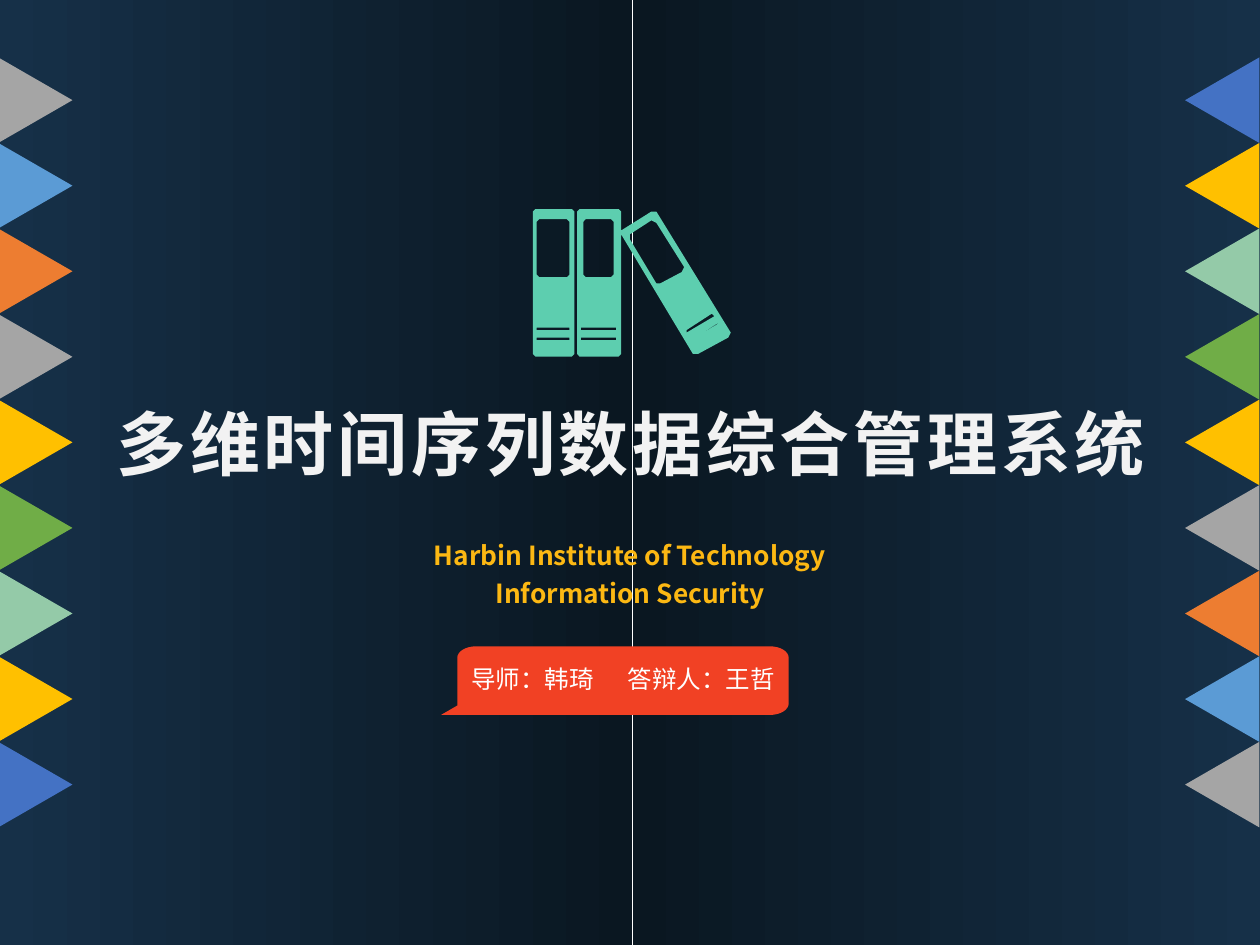
from dataclasses import dataclass
from math import cos, pi, sin

from lxml.etree import SubElement
from pptx import Presentation
from pptx.dml.color import RGBColor
from pptx.enum.shapes import MSO_SHAPE as Preset
from pptx.enum.text import MSO_ANCHOR as Anchor, MSO_AUTO_SIZE as AutoSize, PP_ALIGN as Align
from pptx.oxml.ns import qn
from pptx.util import Emu, Inches, Pt

CELL = Inches(0.1)
COLUMNS, ROWS = 100, 75

Contour = list[tuple[float, float]]


@dataclass(frozen=True)
class Theme:
    font: str = "Noto Sans CJK SC"
    edge: str = "163048"
    center: str = "0A1721"
    title: str = "F2F2F2"
    subtitle: str = "FCB813"
    label: str = "FFFFFF"
    callout: str = "F14124"
    binders: str = "5DCEAF"
    pennants: tuple[str, ...] = (
        "A5A5A5", "5B9BD5", "ED7D31", "A5A5A5", "FFC000",
        "70AD47", "94CAA8", "FFC000", "4472C4",
    )
    title_size: int = 40
    subtitle_size: int = 15
    label_size: int = 14


@dataclass(frozen=True)
class Area:
    column: float
    row: float
    width: float
    height: float

    def lengths(self) -> list[Emu]:
        return [cells(value) for value in (self.column, self.row, self.width, self.height)]


@dataclass(frozen=True)
class Binder:
    left: float
    right: float
    window: tuple[float, float]
    slots: tuple[float, float]


THEME = Theme()
PENNANT_STEP = 6.79
UPRIGHT_BINDERS = (
    Binder(42.3, 45.6, (42.6, 45.2), (42.6, 45.2)),
    Binder(45.8, 49.3, (46.3, 48.7), (46.1, 48.9)),
)
LEANING_BINDER: list[Contour] = [
    [(52.1, 16.8), (51.7, 16.8), (49.3, 18.3), (49.3, 18.6),
     (55, 28.1), (55.4, 28.1), (57.8, 26.8), (58, 26.4)],
    [(54.1, 21.6), (52.4, 22.5), (52.1, 22.5), (50, 19),
     (50, 18.6), (51.7, 17.5), (52.1, 17.7), (54.3, 21.2)],
    [(54.5, 26.4), (54.5, 26.2), (56.5, 24.9), (56.7, 25.1)],
    [(54.8, 27), (56.9, 25.7), (57, 25.7)],
]


def cells(count: float) -> Emu:
    return Emu(round(count * CELL))


def finish(shape, color: str) -> None:
    shape.shadow.inherit = False
    shape.line.fill.background()
    shape.fill.solid()
    shape.fill.fore_color.rgb = RGBColor.from_string(color)


def write(shape, text: str, *, size: int, color: str, bold: bool = False,
          align: Align = Align.CENTER, line_spacing: float = 1.0,
          tracking: float = 0, inset: float = 1, tab: float = 0) -> None:
    frame = shape.text_frame
    frame.word_wrap = True
    frame.auto_size = AutoSize.SHAPE_TO_FIT_TEXT
    frame.vertical_anchor = Anchor.TOP
    frame.margin_left = cells(inset)
    for index, line in enumerate(text.split("\n")):
        paragraph = frame.add_paragraph() if index else frame.paragraphs[0]
        paragraph.alignment = align
        paragraph.line_spacing = line_spacing
        if tab:
            stops = SubElement(paragraph._p.get_or_add_pPr(), qn("a:tabLst"))
            SubElement(stops, qn("a:tab"), pos=str(cells(tab)), algn="l")
        run = paragraph.add_run()
        run.text = line
        run.font.name = THEME.font
        run.font.size = Pt(size)
        run.font.bold = bold
        run.font.color.rgb = RGBColor.from_string(color)
        properties = run.font._element
        SubElement(properties, qn("a:ea"), typeface=THEME.font)
        if tracking:
            properties.set("spc", str(round(tracking * 100)))


def draw_panel(shapes, area: Area, rotation: int) -> None:
    panel = shapes.add_shape(Preset.RECTANGLE, *area.lengths())
    finish(panel, THEME.edge)
    panel.rotation = rotation
    panel.fill.gradient()
    panel.fill.gradient_angle = 0
    for stop, color in zip(panel.fill.gradient_stops, (THEME.edge, THEME.center)):
        stop.color.rgb = RGBColor.from_string(color)


def draw_pennants(shapes, column: float, rotation: int, colors: tuple[str, ...]) -> None:
    group = shapes.add_group_shape()
    for index, color in enumerate(colors):
        area = Area(column, 5 + index * PENNANT_STEP, 6.8, 5.9)
        pennant = group.shapes.add_shape(Preset.ISOSCELES_TRIANGLE, *area.lengths())
        pennant.rotation = rotation
        finish(pennant, color)


def draw_outline(shapes, contours: list[Contour], color: str) -> None:
    first, *others = [[(cells(x), cells(y)) for x, y in contour] for contour in contours]
    builder = shapes.build_freeform(*first[0], scale=1.0)
    builder.add_line_segments(first[1:], close=True)
    for contour in others:
        builder.move_to(*contour[0])
        builder.add_line_segments(contour[1:], close=True)
    finish(builder.convert_to_shape(), color)


def box(left: float, top: float, right: float, bottom: float, cut: float = 0) -> Contour:
    if not cut:
        return [(left, top), (right, top), (right, bottom), (left, bottom)]
    return [
        (left + cut, top), (right - cut, top), (right, top + cut), (right, bottom - cut),
        (right - cut, bottom), (left + cut, bottom), (left, bottom - cut), (left, top + cut),
    ]


def binder_contours(binder: Binder) -> list[Contour]:
    window_left, window_right = binder.window
    slot_left, slot_right = binder.slots
    return [
        box(binder.left, 16.6, binder.right, 28.3, cut=0.2),
        box(window_left, 17.4, window_right, 22, cut=0.2),
        *[box(slot_left, top, slot_right, top + 0.2) for top in (26, 26.8)],
    ]


def arc(x: float, y: float, start: int, steps: int = 8) -> Contour:
    angles = [(start + 90 * step / steps) * pi / 180 for step in range(steps + 1)]
    return [(x + 1.5 * cos(angle), y + 0.9 * sin(angle)) for angle in angles]


def callout_contour() -> Contour:
    return [
        *arc(37.8, 52.2, 180), *arc(61.1, 52.2, 270), *arc(61.1, 55.85, 0),
        (35, 56.75), (36.3, 56),
    ]


def main() -> None:
    presentation = Presentation()
    presentation.slide_width, presentation.slide_height = cells(COLUMNS), cells(ROWS)
    slide = presentation.slides.add_slide(presentation.slide_layouts[5])
    shapes = slide.shapes

    middle = 50.2
    draw_panel(shapes, Area(middle, 0, COLUMNS - middle, ROWS), 180)
    draw_panel(shapes, Area(0, 0, middle, ROWS), 0)

    title = shapes.title
    title.left, title.top, title.width, title.height = Area(2.2, 31.3, 95.8, 7.7).lengths()
    shapes._spTree.append(title._element)
    write(title, "多维时间序列数据综合管理系统", size=THEME.title_size,
          color=THEME.title, bold=True, tracking=2.2)

    subtitle = shapes.add_textbox(*Area(25, 41.8, 50, 7.1).lengths())
    write(subtitle, "Harbin Institute of Technology\nInformation Security",
          size=THEME.subtitle_size, color=THEME.subtitle, bold=True, line_spacing=1.2)

    draw_outline(shapes, [callout_contour()], THEME.callout)
    draw_pennants(shapes, 93.6, 270, THEME.pennants[::-1])
    draw_pennants(shapes, -0.6, 90, THEME.pennants)

    upright = [contour for binder in UPRIGHT_BINDERS for contour in binder_contours(binder)]
    draw_outline(shapes, upright + LEANING_BINDER, THEME.binders)

    label = shapes.add_textbox(*Area(33, 52.2, 33.1, 3.4).lengths())
    write(label, "导师：韩琦\t答辩人：王哲", size=THEME.label_size, color=THEME.label,
          align=Align.LEFT, inset=4.4, tab=12.4)

    presentation.save("out.pptx")


if __name__ == "__main__":
    main()
